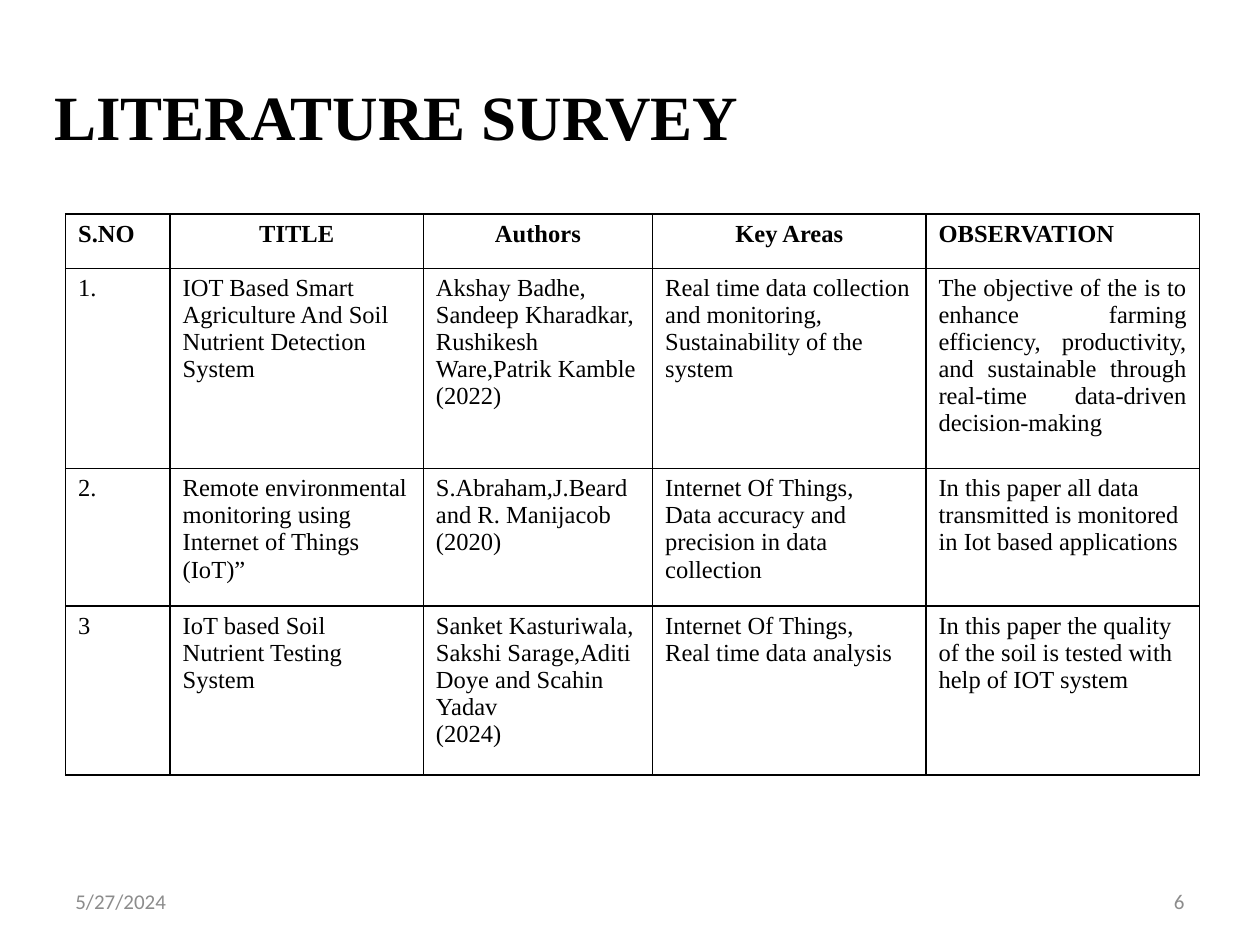
from lxml import etree
from pptx import Presentation
from pptx.dml.color import RGBColor
from pptx.enum.text import MSO_ANCHOR, PP_ALIGN
from pptx.oxml.ns import qn
from pptx.util import Inches, Pt

LEFT, CENTER = PP_ALIGN.LEFT, PP_ALIGN.CENTER
RIGHT, JUSTIFY = PP_ALIGN.RIGHT, PP_ALIGN.JUSTIFY
MIDDLE = MSO_ANCHOR.MIDDLE
BLACK = RGBColor(0x00, 0x00, 0x00)
GRAY = RGBColor(0x8C, 0x8C, 0x8C)
SERIF, SANS = "Times New Roman", "Calibri"

COLUMN_WIDTHS = [0.83, 2.01, 1.82, 2.17, 2.17]
ROW_HEIGHTS = [0.43, 1.59, 1.09, 1.34]
HEADER_ALIGNMENTS = [LEFT, CENTER, CENTER, CENTER, LEFT]
SURVEY = [
    ["S.NO", "TITLE", "Authors", "Key Areas", "OBSERVATION"],
    [
        "1.",
        "IOT Based Smart Agriculture And Soil Nutrient Detection System",
        "Akshay Badhe, Sandeep Kharadkar,\nRushikesh Ware,Patrik Kamble\n(2022)",
        "Real time data collection and monitoring,\nSustainability of the system",
        "The objective of the is to enhance farming efficiency, productivity, "
        "and sustainable through real-time data-driven decision-making",
    ],
    [
        "2.",
        "Remote environmental monitoring using Internet of Things (IoT)”",
        "S.Abraham,J.Beard and R. Manijacob\n(2020)",
        "Internet Of Things,\nData accuracy and precision in data collection",
        "In this paper all data transmitted is monitored in Iot based applications",
    ],
    [
        "3",
        "IoT based Soil Nutrient Testing System",
        "Sanket Kasturiwala,\nSakshi Sarage,Aditi Doye and Scahin Yadav\n(2024)",
        "Internet Of Things,\nReal time data analysis",
        "In this paper the quality of the soil is tested with help of IOT system",
    ],
]


def write_text(frame, text, font_name, size, color, bold=False, alignment=LEFT):
    """Fill a text frame and format each of its paragraphs."""
    frame.text = text
    for paragraph in frame.paragraphs:
        paragraph.alignment = alignment
        font = paragraph.font
        font.name, font.size, font.bold = font_name, Pt(size), bold
        font.color.rgb = color


def add_title(slide, text):
    """Place and format the slide title."""
    title = slide.shapes.title
    title.left, title.top = Inches(0.33), Inches(0.48)
    title.width, title.height = Inches(9), Inches(0.87)
    title.text_frame.vertical_anchor = MIDDLE
    write_text(title.text_frame, text, SERIF, 36, BLACK, bold=True)


def set_borders(cell):
    """Give a cell thin solid black borders on all sides."""
    properties = cell._tc.get_or_add_tcPr()
    for position, side in enumerate(("a:lnL", "a:lnR", "a:lnT", "a:lnB")):
        line = etree.Element(qn(side), w=str(Pt(1)))
        fill = etree.SubElement(line, qn("a:solidFill"))
        etree.SubElement(fill, qn("a:srgbClr"), val=str(BLACK))
        properties.insert(position, line)


def add_survey_table(slide):
    """Add the table of surveyed papers."""
    table = slide.shapes.add_table(
        len(ROW_HEIGHTS), len(COLUMN_WIDTHS), Inches(0.52), Inches(1.7),
        Inches(sum(COLUMN_WIDTHS)), Inches(sum(ROW_HEIGHTS)),
    ).table
    table.first_row = table.horz_banding = False
    for column, width in zip(table.columns, COLUMN_WIDTHS):
        column.width = Inches(width)
    for row, height in zip(table.rows, ROW_HEIGHTS):
        row.height = Inches(height)
    for r, entries in enumerate(SURVEY):
        for c, entry in enumerate(entries):
            cell = table.cell(r, c)
            alignment = HEADER_ALIGNMENTS[c] if r == 0 else LEFT
            write_text(cell.text_frame, entry, SERIF, 14, BLACK, r == 0, alignment)
            cell.fill.background()
            set_borders(cell)
    table.cell(1, 4).text_frame.paragraphs[0].alignment = JUSTIFY


def add_footer(slide, left, text, alignment):
    """Add a small gray footer text."""
    box = slide.shapes.add_textbox(
        Inches(left), Inches(6.95), Inches(2.33), Inches(0.4))
    box.text_frame.word_wrap = True
    box.text_frame.vertical_anchor = MIDDLE
    write_text(box.text_frame, text, SANS, 12, GRAY, alignment=alignment)


def main():
    """Build the literature survey slide."""
    presentation = Presentation()
    presentation.slide_width, presentation.slide_height = Inches(10), Inches(7.5)
    slide = presentation.slides.add_slide(
        presentation.slide_layouts.get_by_name("Title Only"))
    add_title(slide, "LITERATURE SURVEY")
    add_survey_table(slide)
    add_footer(slide, 0.5, "5/27/2024", LEFT)
    add_footer(slide, 7.17, "6", RIGHT)
    presentation.save("out.pptx")


if __name__ == "__main__":
    main()
